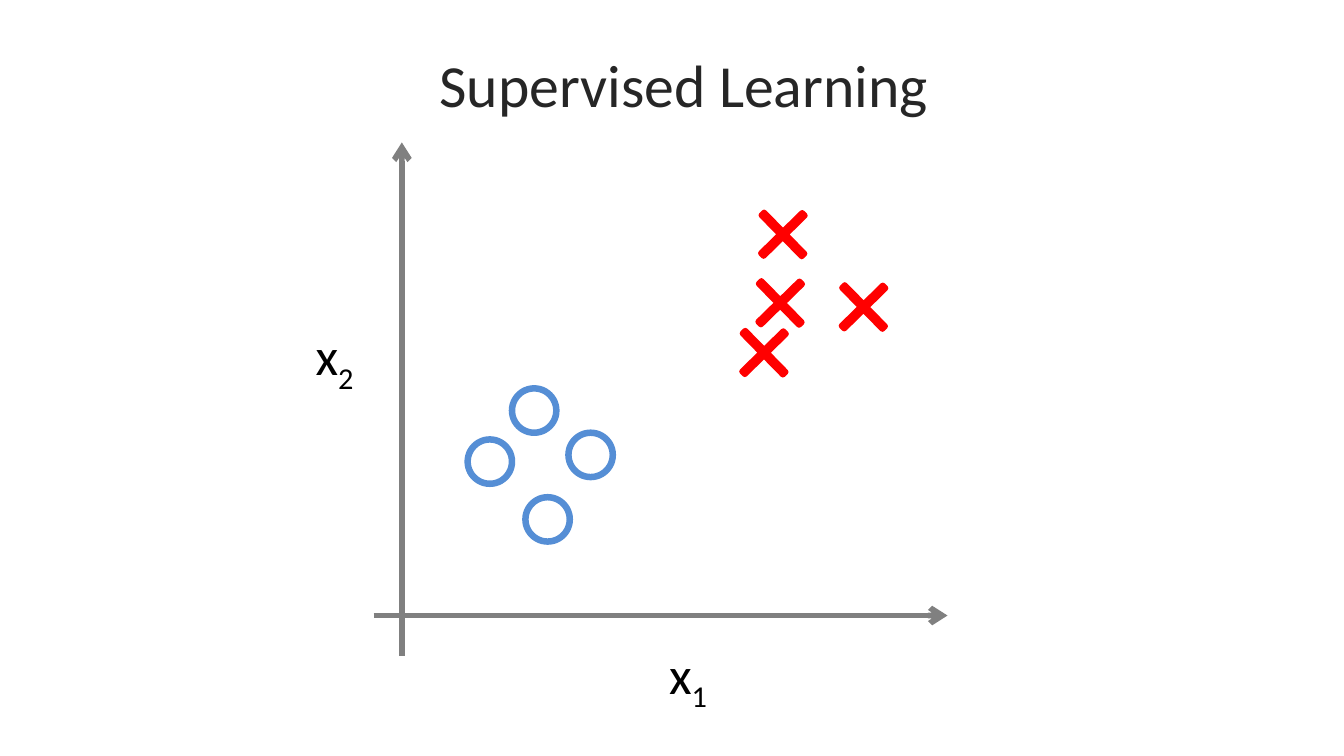
from lxml import etree
from pptx import Presentation
from pptx.dml.color import RGBColor
from pptx.enum.shapes import MSO_CONNECTOR, MSO_SHAPE
from pptx.enum.text import MSO_AUTO_SIZE
from pptx.oxml.ns import qn
from pptx.util import Inches, Pt

CIRCLE, CROSS = MSO_SHAPE.OVAL, MSO_SHAPE.CROSS
STRAIGHT = MSO_CONNECTOR.STRAIGHT
FIT_SHAPE = MSO_AUTO_SIZE.SHAPE_TO_FIT_TEXT

COLUMNS, ROWS = 100, 56.25  # square grid cells, a tenth of an inch each
CELL = Inches(0.1)
COLORS = {
    "title": "262626",
    "label": "000000",
    "axis": "808080",
    "circle": "558ED5",
    "cross": "FF0000",
    "cross_fill": "000000",
}
CIRCLE_SIZE, CROSS_SIZE = 3.3, 4.3
CIRCLES = [(34.8, 32.7), (42.3, 32.2), (39.1, 37), (38.1, 28.9)]
CROSSES = [(54.7, 24.1), (56.1, 15.3), (62.1, 20.7), (55.9, 20.4)]
AXIS_LABELS = [("1", 48.8, 47.3), ("2", 22.5, 23.6)]
AXES = [((29.9, 48.8), (29.9, 10.6)), ((27.8, 45.8), (70.5, 45.8))]


def cells(*counts):
    """Turn counts of grid cells into lengths."""
    return [round(count * CELL) for count in counts]


def add_run(paragraph, text, *, size, color, font="Calibri", baseline=None):
    """Append formatted text; baseline is a shift in percent."""
    run = paragraph.add_run()
    run.text = text
    run.font.name = font
    run.font.size = Pt(size)
    run.font.color.rgb = RGBColor.from_string(COLORS[color])
    if baseline is not None:
        run.font._element.set("baseline", str(baseline * 1000))


class PlotSlide:
    def __init__(self, slide):
        self.slide = slide

    def style_line(self, line, color, width):
        line.color.rgb = RGBColor.from_string(COLORS[color])
        line.width = Pt(width)

    def marker(self, kind, left, top, size, color, width, fill=None):
        shape = self.slide.shapes.add_shape(kind, *cells(left, top, size, size))
        shape.shadow.inherit = False
        if fill:
            shape.fill.solid()
            shape.fill.fore_color.rgb = RGBColor.from_string(COLORS[fill])
        else:
            shape.fill.background()
        self.style_line(shape.line, color, width)
        return shape

    def circle(self, left, top):
        self.marker(CIRCLE, left, top, CIRCLE_SIZE, "circle", 3.5)

    def cross(self, left, top):
        shape = self.marker(CROSS, left, top, CROSS_SIZE, "cross", 3, "cross_fill")
        shape.adjustments[0] = 0.466
        shape.rotation = 45.6

    def text(self, left, top, width, height, text, size, color, subscript=None):
        box = self.slide.shapes.add_textbox(*cells(left, top, width, height))
        frame = box.text_frame
        frame.word_wrap = False
        frame.auto_size = FIT_SHAPE
        paragraph = frame.paragraphs[0]
        add_run(paragraph, text, size=size, color=color)
        if subscript:
            add_run(paragraph, subscript, size=size, color=color, baseline=-25)

    def axis(self, start, end):
        connector = self.slide.shapes.add_connector(STRAIGHT, *cells(*start, *end))
        self.style_line(connector.line, "axis", 3)
        properties = connector.element.spPr
        outline = properties.find(qn("a:ln"))
        etree.SubElement(outline, qn("a:tailEnd"), type="arrow")
        etree.SubElement(properties, qn("a:effectLst"))


def main():
    presentation = Presentation()
    presentation.slide_width, presentation.slide_height = cells(COLUMNS, ROWS)
    blank_layout = presentation.slide_layouts[6]
    plot = PlotSlide(presentation.slides.add_slide(blank_layout))

    for left, top in CIRCLES:
        plot.circle(left, top)
    for left, top in CROSSES:
        plot.cross(left, top)
    for subscript, left, top in AXIS_LABELS:
        plot.text(left, top, 5.1, 5.7, "x", 28, "label", subscript)
    plot.text(31.7, 3.1, 38.8, 6.4, "Supervised Learning", 32, "title")
    for start, end in AXES:
        plot.axis(start, end)

    presentation.save("out.pptx")


if __name__ == "__main__":
    main()
